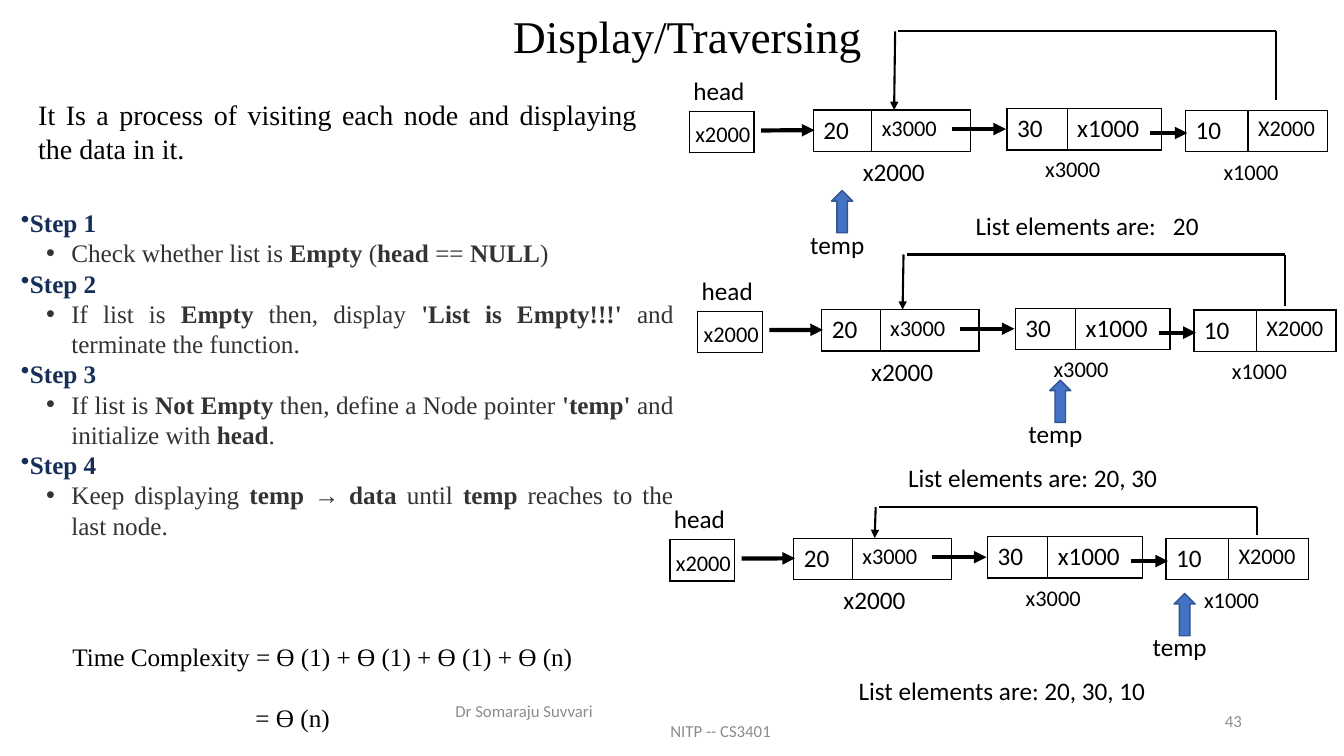
from pptx import Presentation
from pptx import util as u
from pptx.dml import color
from pptx.enum import shapes, text
from pptx.oxml import parse_xml
from pptx.oxml import ns

Pt = u.Pt
COLORS = {"ink": "000000", "navy": "162F59", "body": "333333", "grey": "8C8C8C",
          "blue": "4472C4", "edge": "325491"}
SERIF, SANS = "Times New Roman", "Calibri"
ALIGN, ANCHOR = text.PP_ALIGN, text.MSO_ANCHOR

STEPS = [
    ("Step 1", "Check whether list is *Empty* (*head* == *NULL*)"),
    ("Step 2", "If list is *Empty* then, display *'List is Empty!!!'* and terminate the function."),
    ("Step 3", "If list is *Not Empty* then, define a Node pointer *'temp'* and initialize with *head*."),
    ("Step 4", "Keep displaying *temp → data* until *temp* reaches to the last node."),
]
# Each list: head corner, loop top and start, pointer place, printed text and its box
LISTS = [
    ((488.2, 50.4), (-28, 20.9), (105.8, 85.7), "List elements are:\t20", (689.8, 146.9, 234.7)),
    ((494.2, 193), (-11.2, 25.9), (255.6, 78.5), "List elements are: 20, 30", (641.5, 326.9, 203)),
    ((474.3, 356.2), (6, 26), (364.3, 67.7), "List elements are: 20, 30, 10", (606.2, 478.8, 248.4)),
]
# Each node: left, top, column widths, data, link and its size
NODES = [
    (92.7, 28.2, (41.8, 70.6), "20", "x3000", 16),
    (231.1, 27.2, (43, 67.5), "30", "x1000", 18),
    (358.6, 28.4, (44.6, 56.9), "10", "X2000", 16),
]
LABELS = [  # text, left, top, width, size
    ("head", 0, 0, 57.6, 18),
    ("x2000", 1.4, 32.2, 57.6, 16),
    ("x2000", 121, 57.6, 87.8, 18),
    ("x3000", 251.3, 57.2, 57.6, 16),
    ("x1000", 378.7, 58.7, 57.6, 16),
]
LINKS = [(55.4, 42.8, 93.6, 42.6), (191.5, 41.8, 230.4, 41.8), (333.4, 44.6, 360, 44.6)]


def rgb(name):
    return color.RGBColor.from_string(COLORS[name])


def element(xml):
    tag = xml[1:].split(">")[0].split("/")[0].split(" ")[0]
    return parse_xml(xml.replace(tag, f"{tag} {ns.nsdecls('a')}", 1))


def write(para, words, size=18, font=SANS, ink="ink", bold=False, **layout):
    """Fill a paragraph; words between asterisks are bold."""
    for name, value in layout.items():
        setattr(para, name, value)
    for i, part in enumerate(words.split("*")):
        if not part:
            continue
        span = para.add_run()
        span.text = part
        formats = {"size": Pt(size), "name": font, "bold": bold or i % 2 == 1}
        for name, value in formats.items():
            setattr(span.font, name, value)
        span.font.color.rgb = rgb(ink)


def frame_at(page, box, anchor=ANCHOR.TOP):
    frame = page.shapes.add_textbox(*map(Pt, box)).text_frame
    frame.word_wrap = True
    frame.vertical_anchor = anchor
    return frame


def label(page, box, words, anchor=ANCHOR.TOP, **style):
    para = frame_at(page, box, anchor).paragraphs[0]
    write(para, words, **style)
    return para


def line(page, ends, width, arrow=False):
    link = page.shapes.add_connector(shapes.MSO_CONNECTOR.STRAIGHT, *map(Pt, ends))
    link.line.color.rgb = rgb("ink")
    link.line.width = Pt(width)
    if arrow:
        link.line._get_or_add_ln().append(element('<a:tailEnd type="triangle"/>'))
    link._element.spPr.append(element("<a:effectLst/>"))


def cells(page, left, top, widths, entries):
    """One-row table with a thin black grid."""
    table = page.shapes.add_table(1, len(widths), Pt(left), Pt(top),
                                  Pt(sum(widths)), Pt(29.5)).table
    table.first_row = table.horz_banding = False
    table.rows[0].height = Pt(29.5)
    for i, (width, (words, size)) in enumerate(zip(widths, entries)):
        table.columns[i].width = Pt(width)
        cell = table.cell(0, i)
        for side in "LRTB":
            cell._tc.get_or_add_tcPr().append(element(
                f'<a:ln{side} w="12700"><a:solidFill><a:srgbClr val="{COLORS["ink"]}"/>'
                f'</a:solidFill></a:ln{side}>'))
        cell.fill.background()
        write(cell.text_frame.paragraphs[0], words, size)


def linked_list(page, corner, loop, pointer):
    x, y = corner
    # Head cell and nodes
    cells(page, x + 4.3, y + 29.3, (46.1,), [("", 18)])
    for left, top, widths, data, link, size in NODES:
        cells(page, x + left, y + top, widths, [(data, 18), (link, size)])
    for words, left, top, width, size in LABELS:
        label(page, (x + left, y + top, width, 29), words, size=size)
    for x1, y1, x2, y2 in LINKS:
        line(page, (x + x1, y + y1, x + x2, y + y2), 3, True)
    # Link from the last node back to the first
    peak, start = loop
    right, left, tip = x + 423.4, x + 153.4, x + 150.5
    line(page, (right, y + start, right, y + peak), 1.5)
    line(page, (right, y + peak, left, y + peak), 1.5)
    line(page, (tip + 0.7, y + peak, tip, y + 28.2), 1.5, True)
    # Pointer to the current node
    px, py = x + pointer[0], y + pointer[1]
    arrow = page.shapes.add_shape(shapes.MSO_SHAPE.UP_ARROW, Pt(px), Pt(py), Pt(15.1), Pt(30.2))
    arrow.shadow.inherit = False
    arrow.fill.solid()
    arrow.fill.fore_color.rgb = rgb("blue")
    arrow.line.color.rgb = rgb("edge")
    arrow.line.width = Pt(1)
    label(page, (px - 22.3, py + 23.8, 75, 29), "temp")


def steps(page, box):
    frame = frame_at(page, box)
    para = frame.paragraphs[0]
    for number, (heading, detail) in enumerate(STEPS):
        if number:
            para = frame.add_paragraph()
        para._p.get_or_add_pPr().append(element('<a:buChar char="•"/>'))
        write(para, heading, font=SERIF, ink="navy", bold=True, alignment=ALIGN.JUSTIFY)
        para = frame.add_paragraph()
        props = para._p.get_or_add_pPr()
        props.set("marL", str(Pt(36)))
        props.set("indent", str(-Pt(18)))
        props.append(element('<a:buFont typeface="Arial"/>'))
        props.append(element('<a:buChar char="•"/>'))
        write(para, detail, font=SERIF, ink="body", alignment=ALIGN.JUSTIFY, level=1)


def two_lines(page, box, lines, indent, gap=0, anchor=ANCHOR.TOP, **style):
    """Two paragraphs, the second one indented."""
    frame = frame_at(page, box, anchor)
    write(frame.paragraphs[0], lines[0], **style)
    para = frame.add_paragraph()
    para._p.get_or_add_pPr().set("marL", str(Pt(indent)))
    write(para, lines[1], space_before=Pt(gap), **style)


def main():
    deck = Presentation()
    deck.slide_width, deck.slide_height = Pt(960), Pt(540)
    page = deck.slides.add_slide(deck.slide_layouts[6])

    # Title and definition
    label(page, (51.1, 11.5, 879.8, 33.1), "Display/Traversing", ANCHOR.MIDDLE, size=32.4,
          font=SERIF, alignment=ALIGN.CENTER, line_spacing=0.9)
    label(page, (20.2, 66.2, 442, 55.4),
          "It Is a process of visiting each node and displaying the data in it.",
          size=20, font=SERIF, alignment=ALIGN.JUSTIFY)

    # Algorithm and its cost
    steps(page, (7.9, 144.7, 480.2, 247))
    two_lines(page, (44.6, 454.3, 380.2, 51.1),
              ("Time Complexity = Ɵ (1) + Ɵ (1) + Ɵ (1) + Ɵ (n)", "= Ɵ (n)"),
              130.8, 22, font=SERIF)

    # Three stages of the traversal
    for corner, loop, pointer, words, (left, top, width) in LISTS:
        linked_list(page, corner, loop, pointer)
        para = label(page, (left, top, width, 29), words)
        if "\t" in words:
            para._p.get_or_add_pPr().append(element(
                f'<a:tabLst><a:tab pos="{Pt(141)}" algn="l"/></a:tabLst>'))

    # Footer
    two_lines(page, (318.2, 500.4, 324, 28.8), ("Dr Somaraju Suvvari", "NITP -- CS3401"),
              153.6, anchor=ANCHOR.MIDDLE, size=12, ink="grey")
    label(page, (678.2, 500.4, 216, 28.8), "43", ANCHOR.MIDDLE, size=12, ink="grey",
          alignment=ALIGN.RIGHT)
    deck.save("out.pptx")


if __name__ == "__main__":
    main()
